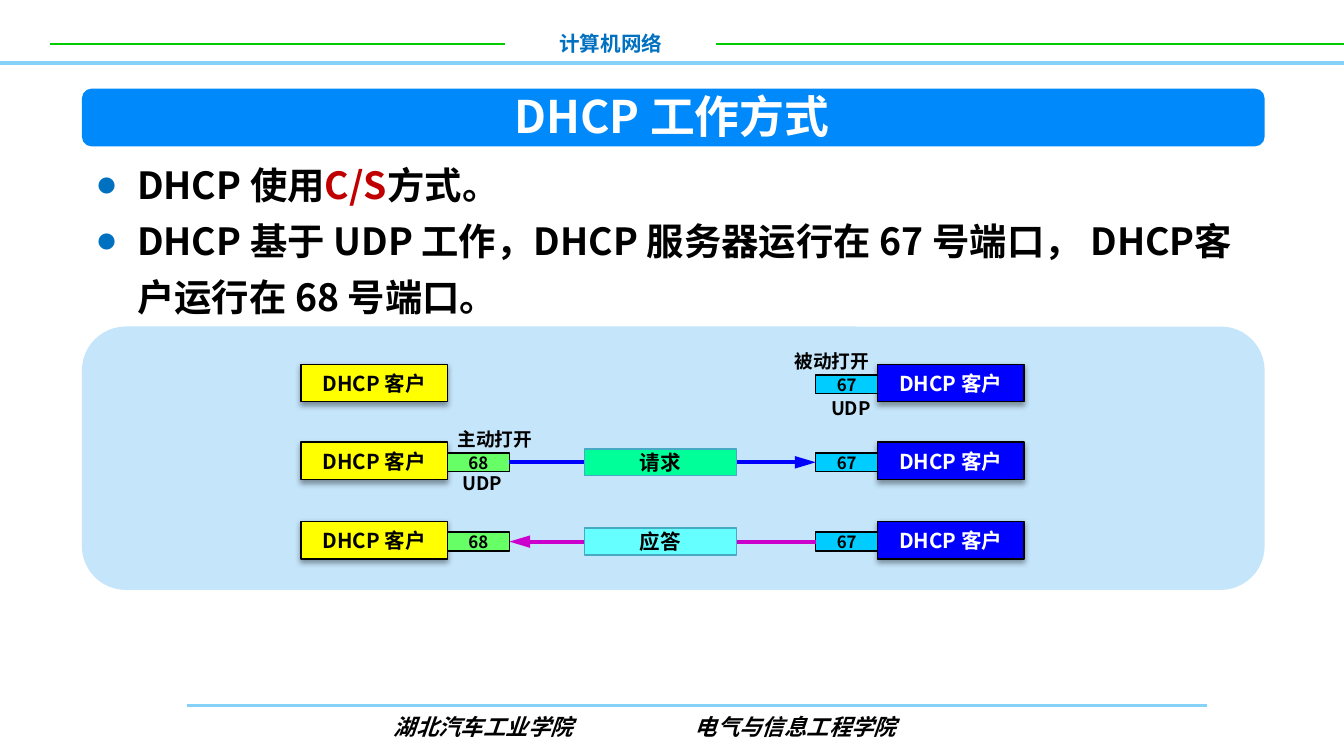
import pptx
import pptx.dml.color
import pptx.enum.shapes
import pptx.enum.text
import pptx.oxml
import pptx.oxml.ns
import pptx.util

Inches = pptx.util.Inches
Pt = pptx.util.Pt
Shapes = pptx.enum.shapes.MSO_SHAPE
Align = pptx.enum.text.PP_ALIGN
Anchor = pptx.enum.text.MSO_ANCHOR

WIDTH = 10
HEIGHT = WIDTH * 9 / 16
CONTENT_LEFT, CONTENT_WIDTH = 0.61, 8.8
ROW_MIDDLES = (2.85, 3.43, 4.02)
COLUMNS = {  # left, width
    "client": (2.24, 1.09),
    "client_port": (3.33, 0.46),
    "message": (4.35, 1.13),
    "server_port": (6.07, 0.46),
    "server": (6.53, 1.09),
}
HOST_HEIGHT, PORT_HEIGHT, MESSAGE_HEIGHT = 0.28, 0.14, 0.2
LABEL_WIDTH, LABEL_HEIGHT = 0.82, 0.29
PORT_DROP = 0.01
CJK = "Noto Sans CJK SC"
COLORS = {
    "black": "000000", "white": "FFFFFF", "rule": "85D1F7", "green": "00CC00",
    "heading": "0070C0", "panel": "C5E5FB", "banner": "0089FA", "accent": "C00000",
    "client": "FFFF00", "server": "0000FF", "client_port": "66FF66",
    "server_port": "00CCFF", "request": "00FF99", "reply": "66FFFF",
    "message_edge": "46AAC5", "request_arrow": "0000FF", "reply_arrow": "CC00CC",
}


def rgb(name):
    return pptx.dml.color.RGBColor.from_string(COLORS[name])


def add_xml(parent, tag, content="", **attributes):
    """Append one DrawingML element to parent."""
    values = "".join(f' {key}="{value}"' for key, value in attributes.items())
    namespace = pptx.oxml.ns.nsdecls("a")
    parent.append(pptx.oxml.parse_xml(f"<a:{tag} {namespace}{values}>{content}</a:{tag}>"))


def set_values(target, values):
    for name, value in values.items():
        setattr(target, name, value)


def add_run(paragraph, text, size, color="black", font=CJK, italic=False):
    run = paragraph.add_run()
    run.text = text
    set_values(run.font, {"size": Pt(size), "name": font, "bold": True, "italic": italic})
    run.font.color.rgb = rgb(color)
    add_xml(run.font._element, "ea", typeface=CJK)


def place(shape, left, top, width, height):
    set_values(shape, {"left": Inches(left), "top": Inches(top),
                       "width": Inches(width), "height": Inches(height)})


def write_centred(shape, text, size, color="black"):
    set_values(shape.text_frame, {
        "margin_left": 0, "margin_right": 0, "margin_top": 0, "margin_bottom": 0,
        "vertical_anchor": Anchor.MIDDLE, "word_wrap": True})
    paragraph = shape.text_frame.paragraphs[0]
    paragraph.alignment = Align.CENTER
    add_run(paragraph, text, size, color)


def add_label(slide, text, size, left, top, width, height, color="black"):
    box = slide.shapes.add_textbox(*map(Inches, (left, top, width, height)))
    write_centred(box, text, size, color)


def add_block(slide, kind, left, top, width, height, fill, edge=None):
    shape = slide.shapes.add_shape(kind, *map(Inches, (left, top, width, height)))
    shape.shadow.inherit = False
    shape.fill.solid()
    shape.fill.fore_color.rgb = rgb(fill)
    if edge:
        shape.line.color.rgb = rgb(edge)
        shape.line.width = Pt(0.75)
    else:
        shape.line.fill.background()
    return shape


def add_cell(slide, column, middle, height, text, size, fill, edge="black", color="black"):
    """Add a captioned rectangle in a diagram column, centred on a row."""
    left, width = COLUMNS[column]
    shape = add_block(slide, Shapes.RECTANGLE, left, middle - height / 2,
                      width, height, fill, edge)
    write_centred(shape, text, size, color)
    return shape


def add_host(slide, column, middle, color):
    shape = add_cell(slide, column, middle, HOST_HEIGHT, "DHCP 客户", 11, column, color=color)
    effects = shape._element.spPr.find(pptx.oxml.ns.qn("a:effectLst"))
    add_xml(effects, "outerShdw",
            '<a:srgbClr val="000000"><a:alpha val="38000"/></a:srgbClr>',
            blurRad=Pt(3.1), dist=Pt(1.6), dir=90 * 60000, rotWithShape=0)


def add_port(slide, column, middle, number):
    add_cell(slide, column, middle + PORT_DROP, PORT_HEIGHT, number, 9, column)


def add_line(slide, start, end, y, color, width, arrow=False):
    line = slide.shapes.add_connector(
        pptx.enum.shapes.MSO_CONNECTOR.STRAIGHT, *map(Inches, (start, y, end, y)))
    line.line.color.rgb = rgb(color)
    line.line.width = Pt(width)
    if arrow:
        add_xml(line.line._get_or_add_ln(), "tailEnd", type="triangle", len="lg")
    add_xml(line._element.spPr, "effectLst")


def add_frame(slide):
    """Add the running header and footer with their rules."""
    add_line(slide, 1.39, 8.98, 5.25, "rule", 1.5)
    add_line(slide, 0, WIDTH, 0.47, "rule", 2)
    add_line(slide, 0.37, 3.76, 0.33, "green", 1)
    add_line(slide, 5.33, WIDTH, 0.33, "green", 1)
    add_label(slide, "计算机网络", 11, 3.76, 0.18, 1.57, 0.29, "heading")
    footer = slide.shapes.add_textbox(*map(Inches, (2.93, 5.26, 5.65, 0.3)))
    set_values(footer.text_frame, {"margin_left": 0, "word_wrap": True})
    paragraph = footer.text_frame.paragraphs[0]
    add_xml(paragraph._element.get_or_add_pPr(), "tabLst",
            f'<a:tab pos="{Inches(2.24)}" algn="l"/>')
    add_run(paragraph, "湖北汽车工业学院\t电气与信息工程学院", 12, font="Arial", italic=True)


def add_title(slide):
    add_block(slide, Shapes.ROUNDED_RECTANGLE, CONTENT_LEFT, 0.66, CONTENT_WIDTH, 0.43, "banner")
    title = slide.shapes.title
    slide.shapes._spTree.append(title._element)
    place(title, 3.68, 0.61, 2.64, 0.5)
    write_centred(title, "DHCP 工作方式", 24, "white")


def add_bullets(slide, items):
    body = slide.placeholders[1]
    slide.shapes._spTree.append(body._element)
    place(body, CONTENT_LEFT, 1.07, CONTENT_WIDTH, 1.36)
    frame = body.text_frame
    set_values(frame, {"auto_size": pptx.enum.text.MSO_AUTO_SIZE.NONE,
                       "vertical_anchor": Anchor.TOP, "word_wrap": True})
    for index, runs in enumerate(items):
        paragraph = frame.add_paragraph() if index else frame.paragraphs[0]
        properties = paragraph._element.get_or_add_pPr()
        properties.set("marL", str(Inches(0.31)))
        properties.set("indent", str(-Inches(0.31)))
        add_xml(properties, "buClr", f'<a:srgbClr val="{COLORS["heading"]}"/>')
        add_xml(properties, "buChar", char="●")
        set_values(paragraph, {"line_spacing": Pt(30), "space_before": Pt(0),
                               "alignment": Align.LEFT})
        for text, color in runs:
            add_run(paragraph, text, 20, color)


def add_message(slide, middle, text, name, to_server):
    client_left, client_width = COLUMNS["client_port"]
    ends = (client_left + client_width, COLUMNS["server_port"][0])
    start, end = ends if to_server else ends[::-1]
    y = middle + PORT_DROP
    add_line(slide, start, end, y, name + "_arrow", 2.25, arrow=True)
    add_cell(slide, "message", y, MESSAGE_HEIGHT, text, 11, name, "message_edge")


def add_diagram(slide):
    panel = (CONTENT_LEFT, 2.43, CONTENT_WIDTH, 1.96)
    add_block(slide, Shapes.ROUNDED_RECTANGLE, *panel, "panel")
    for row, middle in enumerate(ROW_MIDDLES):
        add_host(slide, "client", middle, "black")
        add_host(slide, "server", middle, "white")
        add_port(slide, "server_port", middle, "67")
        if row > 0:
            add_port(slide, "client_port", middle, "68")
    add_message(slide, ROW_MIDDLES[1], "请求", "request", to_server=True)
    add_message(slide, ROW_MIDDLES[2], "应答", "reply", to_server=False)
    for text, left, top in (("被动打开", 5.78, 2.54), ("UDP", 5.92, 2.89),
                            ("主动打开", 3.27, 3.12), ("UDP", 3.18, 3.45)):
        add_label(slide, text, 10, left, top, LABEL_WIDTH, LABEL_HEIGHT)


def main():
    presentation = pptx.Presentation()
    set_values(presentation, {"slide_width": Inches(WIDTH), "slide_height": Inches(HEIGHT)})
    slide = presentation.slides.add_slide(presentation.slide_layouts[1])
    add_frame(slide)
    add_diagram(slide)
    add_title(slide)
    add_bullets(slide, [
        [("DHCP 使用", "black"), ("C/S", "accent"), ("方式。", "black")],
        [("DHCP 基于 UDP 工作，DHCP 服务器运行在 67 号端口， DHCP客户运行在 68 号端口。", "black")],
    ])
    presentation.save("out.pptx")


if __name__ == "__main__":
    main()
